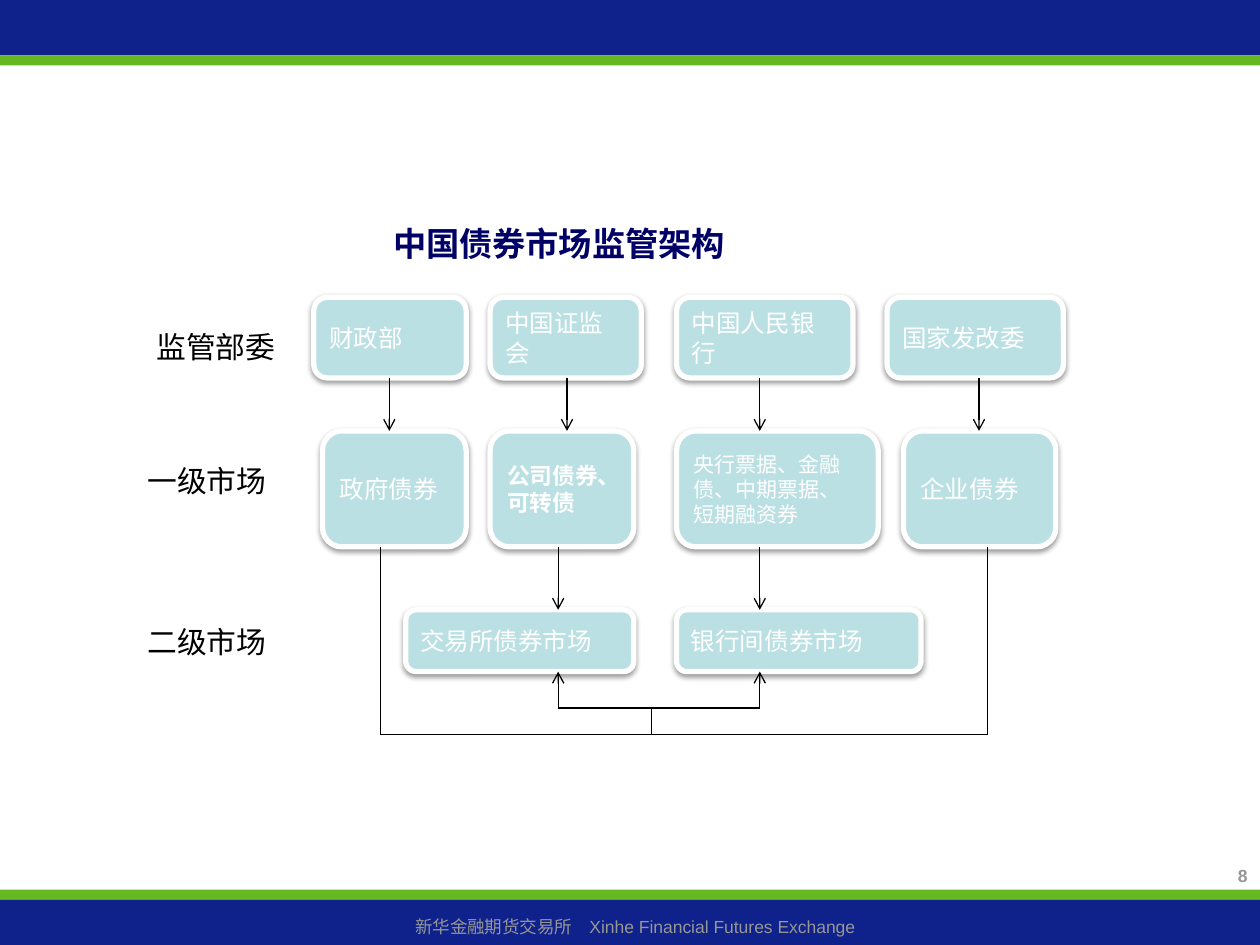
from lxml import etree
from pptx import Presentation
from pptx import util as u
from pptx.dml.color import RGBColor
from pptx.enum import shapes, text
from pptx.oxml import ns, parse_xml

NAVY = RGBColor(0x0F, 0x21, 0x8B)
GREEN = RGBColor(0x66, 0xB8, 0x21)
TITLE = RGBColor(0x00, 0x00, 0x66)
TEAL = RGBColor(0xBB, 0xE0, 0xE3)
GREY = RGBColor(0x96, 0x96, 0x96)
WHITE = RGBColor(0xFF, 0xFF, 0xFF)
BLACK = RGBColor(0x00, 0x00, 0x00)
CJK = "Noto Sans CJK SC"
LEFT, CENTER, RIGHT = text.PP_ALIGN.LEFT, text.PP_ALIGN.CENTER, text.PP_ALIGN.RIGHT

HEADING = "中国债券市场监管架构"
FOOTER = "新华金融期货交易所　Xinhe Financial Futures Exchange"
PAGE_NUMBER = "8"
BANDS = [(0, 0.44, NAVY), (7.06, 0.08, GREEN), (0.44, 0.08, GREEN), (7.14, 0.36, NAVY)]

TIERS = [
    {"label": "监管部委", "label_at": (1.15, 2.57), "top": 2.36, "height": 0.64,
     "boxes": [("财政部", 2.49, 1.21, 14, False),
               ("中国证监会", 3.89, 1.2, 14, False),
               ("中国人民银行", 5.37, 1.4, 14, False),
               ("国家发改委", 7.04, 1.4, 14, False)]},
    {"label": "一级市场", "label_at": (1.08, 3.63), "top": 3.42, "height": 0.92,
     "boxes": [("政府债券", 2.56, 1.14, 14, False),
               ("公司债券、可转债", 3.89, 1.14, 13, True),
               ("央行票据、金融债、中期票据、短期融资券", 5.37, 1.6, 12, False),
               ("企业债券", 7.17, 1.21, 14, False)]},
    {"label": "二级市场", "label_at": (1.08, 4.91), "top": 4.84, "height": 0.49,
     "boxes": [("交易所债券市场", 3.22, 1.81, 14, False),
               ("银行间债券市场", 5.37, 1.94, 14, False)]},
]

REGULATOR_ARROWS = [3.09, 4.5, 6.03, 7.77]
MARKET_ARROWS = [4.43, 6.03]
OUTER_LINES = [3.02, 7.84]
JOIN_X, INNER_Y, OUTER_Y = 5.17, 5.62, 5.83

SHADOW = (
    f'<a:effectLst {ns.nsdecls("a")}>'
    f'<a:outerShdw blurRad="{u.Pt(3.1)}" dist="{u.Pt(1.6)}" dir="5400000" rotWithShape="0">'
    '<a:srgbClr val="000000"><a:alpha val="38000"/></a:srgbClr>'
    '</a:outerShdw></a:effectLst>'
)


def write(shape, words, size, color, name=CJK, bold=False, align=LEFT,
          anchor=text.MSO_ANCHOR.TOP, margins=(0.1, 0.05)):
    frame = shape.text_frame
    frame.word_wrap = True
    frame.auto_size = text.MSO_AUTO_SIZE.NONE
    frame.vertical_anchor = anchor
    frame.margin_left = frame.margin_right = u.Inches(margins[0])
    frame.margin_top = frame.margin_bottom = u.Inches(margins[1])
    para = frame.paragraphs[0]
    para.text = words
    para.alignment = align
    font = para.font
    font.size, font.bold, font.name = u.Pt(size), bold, name
    font.color.rgb = color
    etree.SubElement(font._rPr, ns.qn("a:ea"), typeface=CJK)


def add_text(page, place, words, size, color, **style):
    write(page.shapes.add_textbox(*map(u.Inches, place)), words, size, color, **style)


def add_band(page, top, height, color):
    band = page.shapes.add_shape(shapes.MSO_SHAPE.RECTANGLE, 0, u.Inches(top),
                                 u.Inches(10), u.Inches(height))
    band.shadow.inherit = False
    band.fill.solid()
    band.fill.fore_color.rgb = color
    band.line.fill.background()


def add_box(page, place, words, size, bold):
    box = page.shapes.add_shape(shapes.MSO_SHAPE.ROUNDED_RECTANGLE, *map(u.Inches, place))
    box.fill.solid()
    box.fill.fore_color.rgb = TEAL
    box.line.color.rgb = WHITE
    box.line.width = u.Pt(3)
    box._element.spPr.append(parse_xml(SHADOW))
    write(box, words, size, WHITE, bold=bold, anchor=text.MSO_ANCHOR.MIDDLE,
          margins=(0.09, 0.04))


def add_line(page, start, end, arrow=False):
    line = page.shapes.add_connector(shapes.MSO_CONNECTOR.STRAIGHT,
                                     *map(u.Inches, (*start, *end)))
    line.line.color.rgb = BLACK
    line.line.width = u.Pt(0.75)
    if arrow:
        etree.SubElement(line.line._get_or_add_ln(), ns.qn("a:tailEnd"), type="arrow")
    etree.SubElement(line._element.spPr, ns.qn("a:effectLst"))


def main():
    deck = Presentation()
    deck.slide_width, deck.slide_height = u.Inches(10), u.Inches(7.5)
    page = deck.slides.add_slide(deck.slide_layouts[5])

    for band in BANDS:
        add_band(page, *band)
    add_text(page, (0.08, 7.22, 9.92, 0.27), FOOTER, 10, GREY, name="Arial", align=CENTER)
    add_text(page, (8.03, 6.82, 1.97, 0.36), PAGE_NUMBER, 10, GREY, name="Arial",
             bold=True, align=RIGHT)

    title = page.shapes.title
    title.left, title.top = u.Inches(3.02), u.Inches(1.72)
    title.width, title.height = u.Inches(5.85), u.Inches(0.48)
    write(title, HEADING, 19, TITLE, bold=True)

    for tier in TIERS:
        for words, left, width, size, bold in tier["boxes"]:
            add_box(page, (left, tier["top"], width, tier["height"]), words, size, bold)
        add_text(page, (*tier["label_at"], 1.14, 0.37), tier["label"], 17, BLACK,
                 margins=(0.09, 0.04))

    regulators, primary, secondary = TIERS
    for upper, lower, columns in [(regulators, primary, REGULATOR_ARROWS),
                                  (primary, secondary, MARKET_ARROWS)]:
        for x in columns:
            add_line(page, (x, upper["top"] + upper["height"]), (x, lower["top"]), arrow=True)

    for x in MARKET_ARROWS:
        add_line(page, (x, INNER_Y), (x, secondary["top"] + secondary["height"]), arrow=True)
    for x in OUTER_LINES:
        add_line(page, (x, primary["top"] + primary["height"]), (x, OUTER_Y))
    for (left, right), y in [(MARKET_ARROWS, INNER_Y), (OUTER_LINES, OUTER_Y)]:
        add_line(page, (left, y), (right, y))
    add_line(page, (JOIN_X, INNER_Y), (JOIN_X, OUTER_Y))

    deck.save("out.pptx")


if __name__ == "__main__":
    main()
